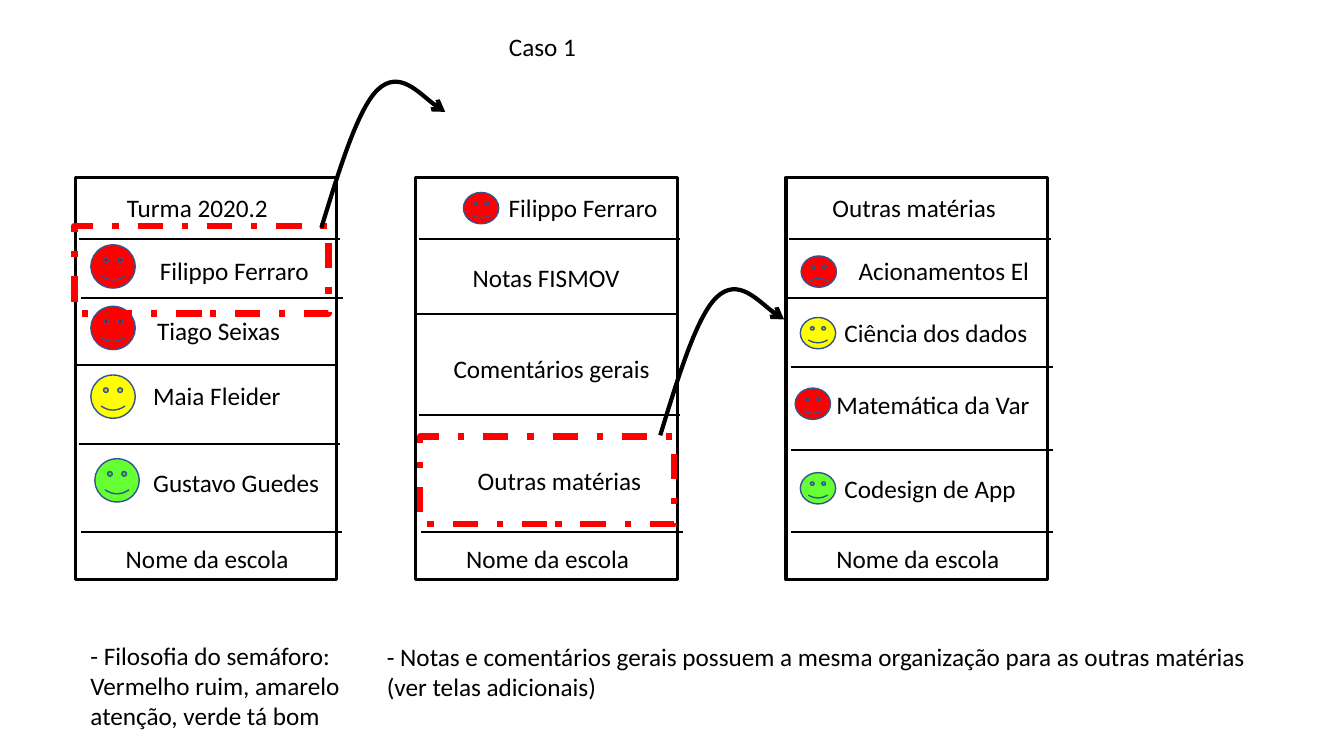
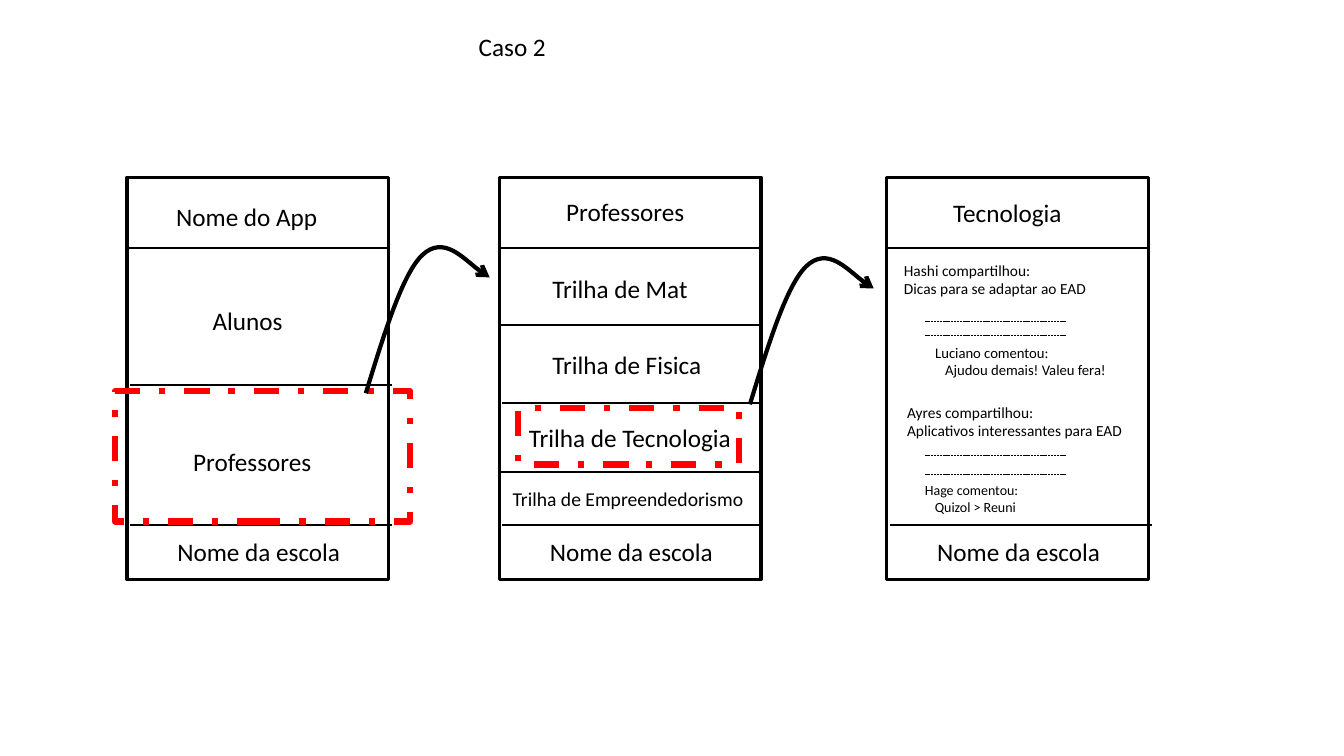
import pptx
import pptx.dml.color
import pptx.enum.dml
import pptx.enum.shapes
import pptx.enum.text
import pptx.oxml.ns
import pptx.oxml.xmlchemy
import pptx.util

Cm = pptx.util.Cm
Pt = pptx.util.Pt
RGBColor = pptx.dml.color.RGBColor
SHAPE = pptx.enum.shapes.MSO_SHAPE
DASH = pptx.enum.dml.MSO_LINE
qn = pptx.oxml.ns.qn
OxmlElement = pptx.oxml.xmlchemy.OxmlElement

BLACK = RGBColor(0, 0, 0)
WHITE = RGBColor(255, 255, 255)
RED = RGBColor(255, 0, 0)
YELLOW = RGBColor(255, 255, 0)
GREEN = RGBColor(102, 255, 51)
FACE_LINE = RGBColor(50, 84, 145)

FONT = "Calibri"
BODY_SIZE = 18
SCREEN_TOP, SCREEN_WIDTH, SCREEN_HEIGHT = 4.47, 6.59, 10.14
FOOTER = "Nome da escola"
FOOTER_INDENT, FOOTER_GAP, FOOTER_WIDTH = 1.02, 0.15, 6.15
REPLY_INDENT = 0.25
LARGE_FACE = (1.12, 1.09)
SMALL_FACE = (0.89, 0.79)
SAD_MOUTH = -0.05
SEPARATOR_LEFT, SEPARATOR_WIDTH = 23.32, 3.53
ARROW_CURVE = [(0.46, -1.5), (0.92, -3), (1.42, -3.48),
               (1.96, -3.99), (2.84, -3.04), (3.12, -2.92)]

CASES = [
    {
        "title": ("Caso 1", 12.57),
        "footer_line": 13.41,
        "screens": [
            (1.9, 0.13, [(0.08, 6.02), (0.15, 7.52), (0, 9.19), (0.08, 11.18)]),
            (10.48, 0.13, [(0.08, 6.02), (0, 7.92), (0.08, 10.46)]),
            (19.81, 0.13, [(0.08, 6.02), (-0.04, 7.52), (0.13, 9.25), (0.13, 11.33)]),
        ],
        "labels": [
            ("Turma 2020.2", 2.95, 4.72, 4.67),
            ("Filippo Ferraro", 3.78, 6.32, 4.5),
            ("Tiago Seixas", 3.71, 7.82, 4.5),
            ("Maia Fleider", 3.61, 9.45, 5.26),
            ("Gustavo Guedes", 3.61, 11.66, 5.26),
            ("Filippo Ferraro", 12.57, 4.72, 4.67),
            ("Notas FISMOV", 11.66, 6.48, 4.5),
            ("Comentários gerais", 11.18, 8.79, 6.15),
            ("Outras matérias", 11.79, 11.61, 5.13),
            ("Outras matérias", 20.73, 4.72, 6.43),
            ("Acionamentos El", 21.39, 6.32, 6.43),
            ("Ciência dos dados", 21.03, 7.87, 5.66),
            ("Matemática da Var", 20.83, 9.68, 6.27),
            ("Codesign de App", 21.03, 11.81, 6.27),
            ("- Filosofia do semáforo: Vermelho ruim, amarelo atenção, verde tá bom",
             2.03, 16, 7.49),
            ("- Notas e comentários gerais possuem a mesma organização para as "
             "outras matérias (ver telas adicionais)", 9.5, 16.03, 22.25),
        ],
        "posts": [],
        "separators": [],
        "faces": [
            (2.29, 6.17, LARGE_FACE, RED, False),
            (2.29, 7.72, LARGE_FACE, RED, False),
            (2.29, 9.45, LARGE_FACE, YELLOW, False),
            (2.39, 11.56, LARGE_FACE, GREEN, False),
            (11.68, 4.85, SMALL_FACE, RED, False),
            (20.19, 6.45, SMALL_FACE, RED, True),
            (20.17, 8, SMALL_FACE, YELLOW, False),
            (20.04, 9.78, SMALL_FACE, RED, False),
            (20.17, 11.91, SMALL_FACE, GREEN, False),
        ],
        "highlights": [(1.88, 5.69, 6.4, 2.21), (10.59, 11, 6.4, 2.21)],
        "arrows": [(8.1, 5.74), (16.64, 10.97)],
    },
    {
        "title": ("Caso 2", 11.81),
        "footer_line": 13.23,
        "screens": [
            (3.2, 0.08, [(0, 6.25), (0.08, 9.7)]),
            (12.59, 0.06, [(0, 6.25), (0, 8.2), (0.06, 10.16), (0, 11.89)]),
            (22.35, 0.08, [(0, 6.25)]),
        ],
        "labels": [
            ("Nome do App", 4.19, 4.95, 6.15),
            ("Alunos", 5.11, 7.57, 2.59),
            ("Professores", 4.62, 11.13, 3.86),
            ("Professores", 14.02, 4.83, 6.15),
            ("Trilha de Mat", 13.67, 6.76, 5.21),
            ("Trilha de Fisica", 13.67, 8.69, 5.21),
            ("Trilha de Tecnologia", 13.08, 10.52, 6.17),
            ("Trilha de Empreendedorismo", 12.67, 12.14, 6.68, 14),
            ("Tecnologia", 23.77, 4.85, 6.15),
        ],
        "posts": [
            ("Hashi compartilhou:\nDicas para se adaptar ao EAD", 22.53, 6.45, 6.45, 11, 0),
            ("Luciano comentou:\nAjudou demais! Valeu fera!",
             23.32, 8.53, 5.87, 10.5, REPLY_INDENT),
            ("Ayres compartilhou:\nAplicativos interessantes para EAD",
             22.61, 10.03, 6.45, 11, 0),
            ("Hage comentou:\nQuizol > Reuni", 23.06, 12.01, 5.87, 10, REPLY_INDENT),
        ],
        "separators": [8.1, 8.46, 11.48, 11.96],
        "faces": [],
        "highlights": [(2.9, 9.86, 7.44, 3.28), (13.06, 10.29, 5.56, 1.42)],
        "arrows": [(9.22, 9.91), (18.9, 10.19)],
    },
]


def format_text(text_frame, size):
    text_frame.word_wrap = True
    text_frame.auto_size = pptx.enum.text.MSO_AUTO_SIZE.NONE
    text_frame.vertical_anchor = pptx.enum.text.MSO_ANCHOR.TOP
    for paragraph in text_frame.paragraphs:
        paragraph.alignment = pptx.enum.text.PP_ALIGN.LEFT
        for run in paragraph.runs:
            run.font.name = FONT
            run.font.size = Pt(size)
            run.font.color.rgb = BLACK


def set_line(line, color, width, dash=None):
    line.color.rgb = color
    line.width = Pt(width)
    if dash is not None:
        line.dash_style = dash


def add_title(slide, text, left):
    title = slide.shapes.title
    title.left, title.top, title.width, title.height = Cm(left), Cm(0.66), Cm(6.15), Cm(1.02)
    title.text_frame.text = text
    format_text(title.text_frame, BODY_SIZE)


def add_label(slide, text, left, top, width, size=BODY_SIZE, reply_indent=0):
    lines = text.count("\n") + 1
    height = Cm(0.25) + Pt(size * 1.2 * lines)
    box = slide.shapes.add_textbox(Cm(left), Cm(top), Cm(width), height)
    box.text_frame.text = text
    format_text(box.text_frame, size)
    if reply_indent:
        properties = box.text_frame.paragraphs[-1]._p.get_or_add_pPr()
        properties.set("marL", str(int(Cm(reply_indent))))


def add_shape(slide, kind, left, top, width, height, fill=None):
    shape = slide.shapes.add_shape(kind, Cm(left), Cm(top), Cm(width), Cm(height))
    shape.shadow.inherit = False
    if fill is None:
        shape.fill.background()
    else:
        shape.fill.solid()
        shape.fill.fore_color.rgb = fill
    return shape


def add_rule(slide, left, top, width, weight, dash=None):
    rule = slide.shapes.add_connector(
        pptx.enum.shapes.MSO_CONNECTOR.STRAIGHT,
        Cm(left), Cm(top), Cm(left + width), Cm(top))
    set_line(rule.line, BLACK, weight, dash)
    rule._element.spPr.append(OxmlElement("a:effectLst"))


def add_screen(slide, left, footer_shift, dividers, footer_line):
    frame = add_shape(slide, SHAPE.RECTANGLE, left, SCREEN_TOP,
                      SCREEN_WIDTH, SCREEN_HEIGHT, WHITE)
    set_line(frame.line, BLACK, 2.25)
    for shift, top in dividers + [(footer_shift, footer_line)]:
        add_rule(slide, left + shift, top, SCREEN_WIDTH, 1.5)
    add_label(slide, FOOTER, left + FOOTER_INDENT, footer_line + FOOTER_GAP, FOOTER_WIDTH)


def add_face(slide, left, top, size, color, sad):
    face = add_shape(slide, SHAPE.SMILEY_FACE, left, top, *size, color)
    set_line(face.line, FACE_LINE, 1)
    if sad:
        face.adjustments[0] = SAD_MOUTH


def add_highlight(slide, left, top, width, height):
    highlight = add_shape(slide, SHAPE.RECTANGLE, left, top, width, height)
    set_line(highlight.line, RED, 4.5, DASH.DASH_DOT)


def add_curved_arrow(slide, left, top):
    builder = slide.shapes.build_freeform(Cm(left), Cm(top))
    builder.add_line_segments(
        [(Cm(left + across), Cm(top + down)) for across, down in ARROW_CURVE], close=False)
    arrow = builder.convert_to_shape()
    arrow.shadow.inherit = False
    arrow.fill.background()
    set_line(arrow.line, BLACK, 3)
    segments = arrow._element.findall(".//" + qn("a:lnTo"))
    for start in range(0, len(segments), 3):
        curve = OxmlElement("a:cubicBezTo")
        segments[start].addprevious(curve)
        for segment in segments[start:start + 3]:
            curve.append(segment[0])
            segment.getparent().remove(segment)
    tail = OxmlElement("a:tailEnd")
    tail.set("type", "arrow")
    arrow._element.spPr.find(qn("a:ln")).append(tail)


def build_case(presentation, case):
    slide = presentation.slides.add_slide(presentation.slide_layouts[5])
    add_title(slide, *case["title"])
    for screen in case["screens"]:
        add_screen(slide, *screen, case["footer_line"])
    for label in case["labels"] + case["posts"]:
        add_label(slide, *label)
    for top in case["separators"]:
        add_rule(slide, SEPARATOR_LEFT, top, SEPARATOR_WIDTH, 0.5, DASH.SQUARE_DOT)
    for face in case["faces"]:
        add_face(slide, *face)
    for highlight in case["highlights"]:
        add_highlight(slide, *highlight)
    for arrow in case["arrows"]:
        add_curved_arrow(slide, *arrow)


def main():
    presentation = pptx.Presentation()
    presentation.slide_width = Cm(33.87)
    presentation.slide_height = Cm(19.05)
    for case in CASES:
        build_case(presentation, case)
    presentation.save("out.pptx")


if __name__ == "__main__":
    main()
